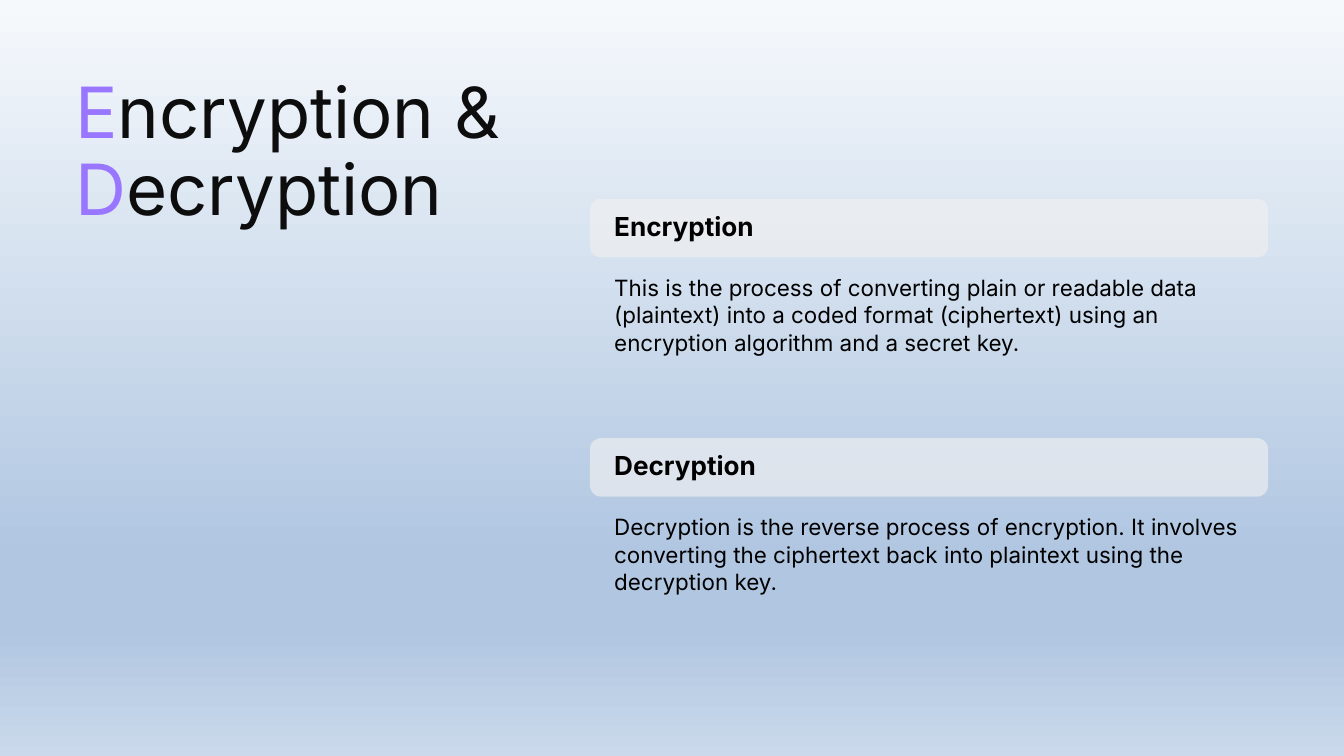
"""Build the slide that defines encryption and decryption."""
import copy

import pptx
import pptx.dml.color
import pptx.enum.shapes
import pptx.enum.text
import pptx.oxml.ns
import pptx.util
from lxml import etree
from pptx.util import Inches


def color(value):
    return pptx.dml.color.RGBColor.from_string(value)


def write(box, place, text, size, spacing, bold=False, ink="000000"):
    box.left, box.top, box.width, box.height = [Inches(length) for length in place]
    frame = box.text_frame
    frame.text = text
    frame.word_wrap = True
    frame.auto_size = pptx.enum.text.MSO_AUTO_SIZE.NONE
    frame.vertical_anchor = pptx.enum.text.MSO_ANCHOR.TOP
    frame.margin_left = frame.margin_top = frame.margin_right = frame.margin_bottom = 0
    for para in frame.paragraphs:
        para.alignment = pptx.enum.text.PP_ALIGN.LEFT
        para.line_spacing = pptx.util.Pt(spacing)
        para.space_before = pptx.util.Pt(0)
        properties = para._p.get_or_add_pPr()
        properties.set("marL", "0")
        properties.set("indent", "0")
        etree.SubElement(properties, pptx.oxml.ns.qn("a:buNone"))
        for span in para.runs:
            span.font.name = "Inter"
            span.font.size = pptx.util.Pt(size)
            span.font.bold = bold
            span.font.color.rgb = color(ink)


deck = pptx.Presentation()
deck.slide_width = Inches(20)
deck.slide_height = Inches(11.25)
page = deck.slides.add_slide(deck.slide_layouts.get_by_name("Comparison"))

background = page.background.fill
background.gradient()
background.gradient_angle = 270
stop_list = page.element.find(".//" + pptx.oxml.ns.qn("a:gsLst"))
for _ in range(2):
    stop_list.append(copy.deepcopy(stop_list[0]))
stops = [(0, "F6F9FC"), (0.74, "B0C6E1"), (0.83, "B0C6E1"), (1, "CAD9EB")]
for stop, (position, shade) in zip(background.gradient_stops, stops):
    stop.position = position
    stop.color.rgb = color(shade)

title = page.shapes.title
write(title, (1.12, 1.12, 6.44, 2.33), "Encryption &\nDecryption", 75.7, 82.8, ink="0D0D0D")
for para in title.text_frame.paragraphs:
    initial = para.runs[0]
    rest = copy.deepcopy(initial._r)
    initial._r.addnext(rest)
    para.runs[1].text = initial.text[1:]
    initial.text = initial.text[0]
    initial.font.color.rgb = color("9976FF")

sections = [
    ("Encryption",
     "This is the process of converting plain or readable data (plaintext) into a coded format "
     "(ciphertext) using an encryption algorithm and a secret key."),
    ("Decryption",
     "Decryption is the reverse process of encryption. It involves converting the ciphertext "
     "back into plaintext using the decryption key."),
]
for index, (name, definition) in enumerate(sections):
    top = 2.96 + index * 3.56
    heading = page.placeholders[1 + 2 * index]
    body = page.placeholders[2 + 2 * index]

    bar = page.shapes.add_shape(
        pptx.enum.shapes.MSO_SHAPE.ROUNDED_RECTANGLE,
        Inches(8.78), Inches(top), Inches(10.09), Inches(0.87))
    bar.adjustments[0] = 0.19
    bar.shadow.inherit = False
    bar.line.fill.background()
    bar.fill.solid()
    bar.fill.fore_color.rgb = color("F1F1F1")
    tint = bar.element.spPr.find(".//" + pptx.oxml.ns.qn("a:srgbClr"))
    etree.SubElement(tint, pptx.oxml.ns.qn("a:alpha"), val="64000")
    heading.element.addprevious(bar.element)

    write(heading, (9.14, top + 0.16, 9.37, 0.46), name, 28, 33.9, bold=True)
    write(body, (9.14, top + 1.1, 9.37, 1.25), definition, 24, 29.7)

deck.save("out.pptx")
